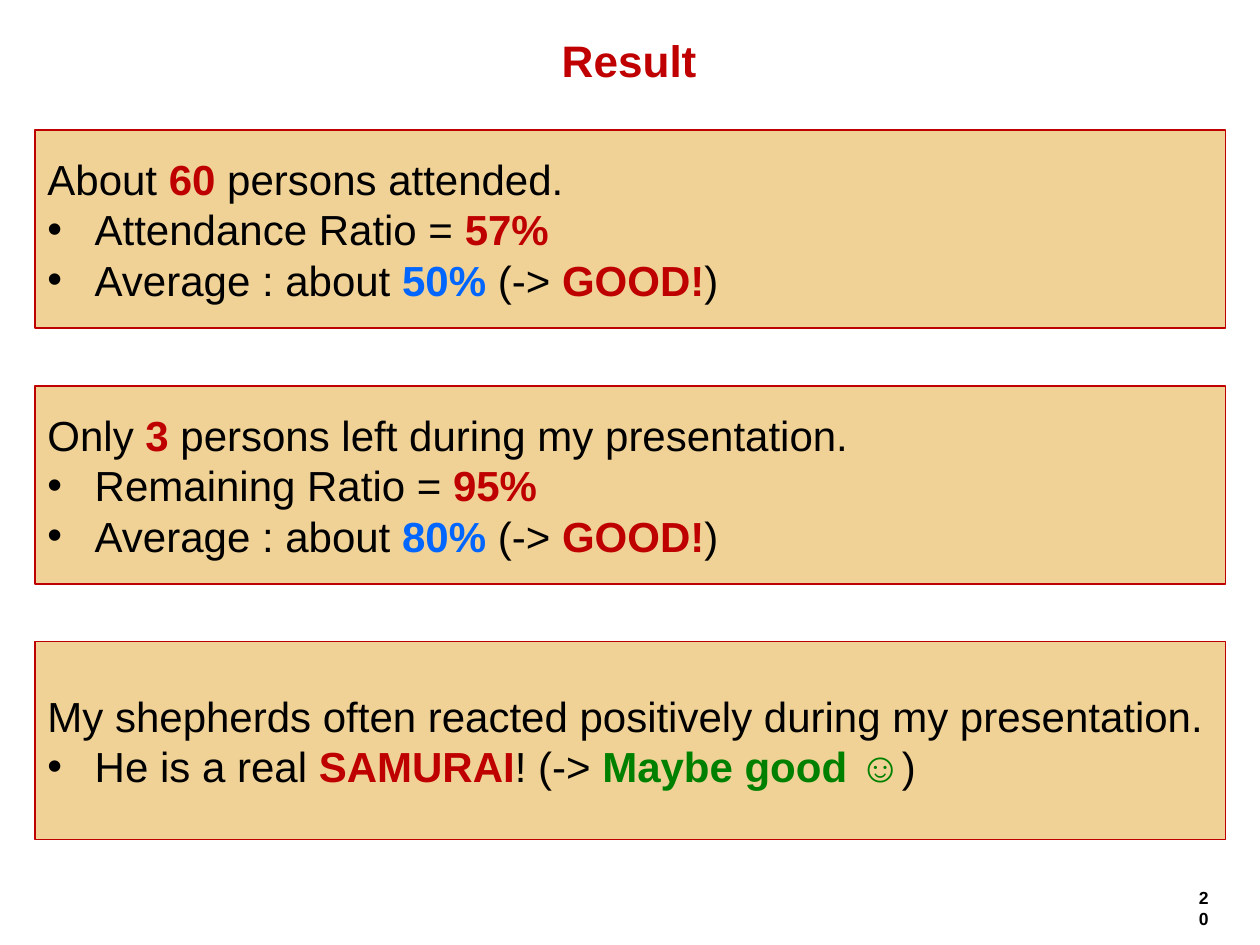
import pptx
import pptx.util
import pptx.dml.color
import pptx.enum.shapes
import pptx.enum.text
import lxml.etree
import pptx.oxml.ns

Pt = pptx.util.Pt
Align = pptx.enum.text.PP_ALIGN
Anchor = pptx.enum.text.MSO_ANCHOR
RED, BLUE, GREEN, BLACK = "BF0000", "0066FF", "008000", "000000"


def color(text):
    return pptx.dml.color.RGBColor.from_string(text)


def label(box, text, size, tone, align):
    box.text_frame.word_wrap = True
    para = box.text_frame.paragraphs[0]
    para.text = text
    para.alignment = align
    para.font.name, para.font.size, para.font.bold = "Arial", Pt(size), True
    para.font.color.rgb = color(tone)


deck = pptx.Presentation()
deck.slide_width, deck.slide_height = Pt(720), Pt(540)
slide = deck.slides.add_slide(deck.slide_layouts[6])

# Page number, in a box narrow enough to stack its digits
page = slide.shapes.add_textbox(Pt(677.5), Pt(503.3), Pt(20.2), Pt(19.4))
label(page, "20", 10, BLACK, Align.RIGHT)

# Title
title = slide.shapes.add_textbox(Pt(28), Pt(20.2), Pt(663), Pt(28))
title.text_frame.vertical_anchor = Anchor.MIDDLE
label(title, "Result", 25.2, "C00000", Align.CENTER)

# Panels: a lead line, then bullets; each line is a list of (text, colour)
panels = [
    [[("About ", BLACK), ("60", RED), (" persons attended.", BLACK)],
     [("Attendance Ratio = ", BLACK), ("57%", RED)],
     [("Average : about ", BLACK), ("50%", BLUE), (" (-> ", BLACK),
      ("GOOD!", RED), (")", BLACK)]],
    [[("Only ", BLACK), ("3", RED),
      (" persons left during my presentation.", BLACK)],
     [("Remaining Ratio = ", BLACK), ("95%", RED)],
     [("Average : about ", BLACK), ("80%", BLUE), (" (-> ", BLACK),
      ("GOOD!", RED), (")", BLACK)]],
    [[("My shepherds often reacted positively during my presentation.",
       BLACK)],
     [("He is a real ", BLACK), ("SAMURAI", RED), ("! (-> ", BLACK),
      ("Maybe good ☺", GREEN), (")", BLACK)]],
]

for row, lines in enumerate(panels):
    panel = slide.shapes.add_shape(
        pptx.enum.shapes.MSO_SHAPE.RECTANGLE,
        Pt(20), Pt(74.3 + 146.2 * row), Pt(680.4), Pt(113.2))
    panel.shadow.inherit = False
    panel.fill.solid()
    panel.fill.fore_color.rgb = color("F0D296")
    panel.line.color.rgb = color(RED)
    panel.line.width = Pt(0.75)
    frame = panel.text_frame
    frame.word_wrap = True
    frame.vertical_anchor = Anchor.MIDDLE

    for rank, line in enumerate(lines):
        para = frame.add_paragraph() if rank else frame.paragraphs[0]
        para.alignment = Align.LEFT
        if rank:
            # Bullet with a hanging indent
            props = para._p.get_or_add_pPr()
            props.set("marL", str(Pt(27)))
            props.set("indent", str(-Pt(27)))
            for tag, key, value in (("a:buFont", "typeface", "Arial"),
                                    ("a:buChar", "char", "•")):
                mark = lxml.etree.SubElement(props, pptx.oxml.ns.qn(tag))
                mark.set(key, value)
        para.font.name, para.font.size = "Arial", Pt(24)
        for text, tone in line:
            run = para.add_run()
            run.text = text
            run.font.bold = tone != BLACK
            run.font.color.rgb = color(tone)

deck.save("out.pptx")
